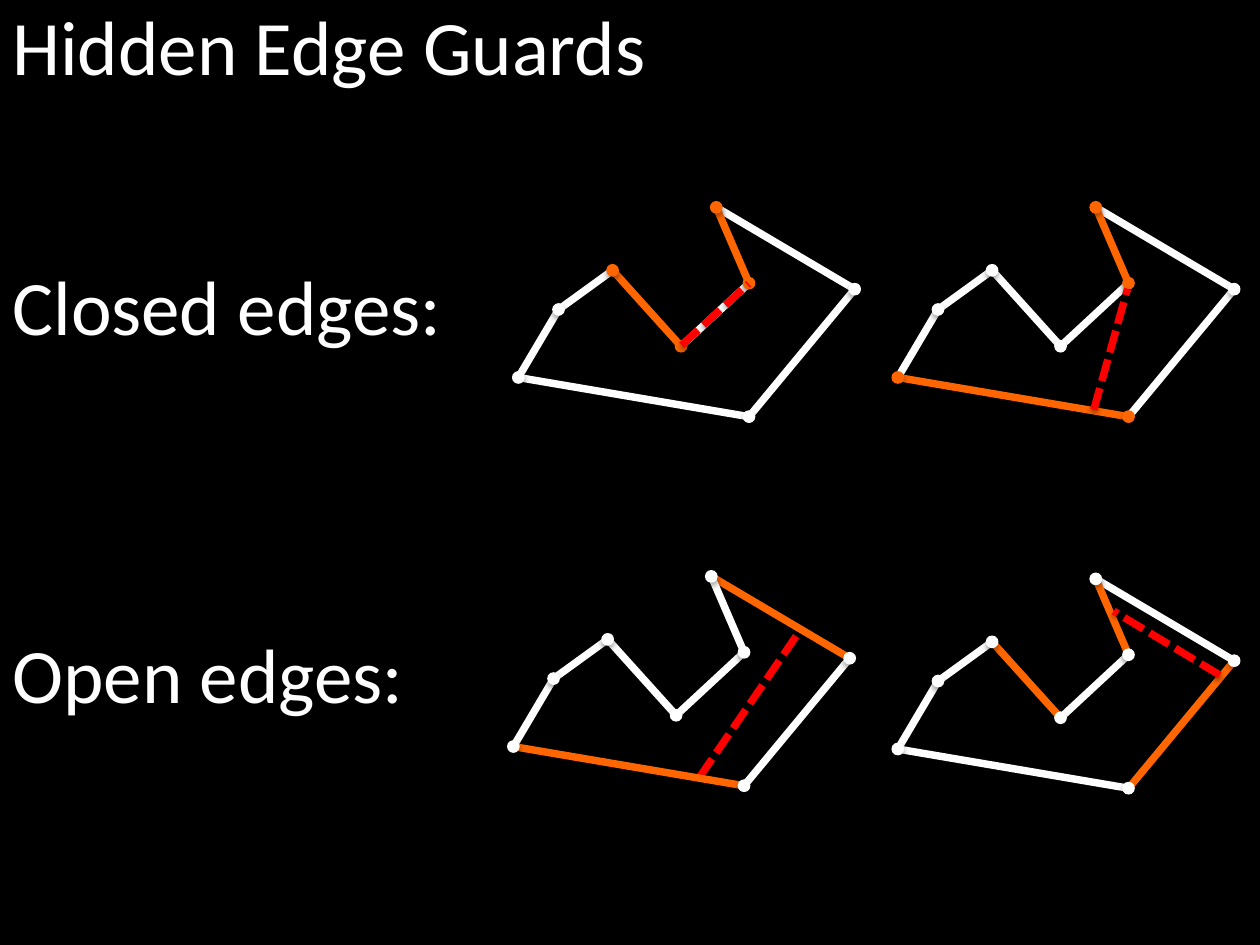
from lxml import etree
from pptx import Presentation
from pptx import util as u
from pptx.dml.color import RGBColor
from pptx.enum import dml, shapes, text
from pptx.oxml import ns

COLORS = {"background": "000000", "plain": "FFFFFF", "guard": "FF6600", "sight": "FF0000"}
DOT = 0.23  # vertex diameter, cm

# Polygon vertices in cm, measured from the left corner
VERTICES = {
    "left": (0, 0), "shoulder": (0.81, -1.37), "peak": (1.9, -2.16), "notch": (3.28, -0.63),
    "inner": (4.65, -1.9), "top": (3.99, -3.43), "right": (6.78, -1.78), "bottom": (4.65, 0.79),
}
EDGES = [
    ("top", "right"), ("shoulder", "left"), ("shoulder", "peak"), ("peak", "notch"),
    ("notch", "inner"), ("left", "bottom"), ("bottom", "right"), ("inner", "top"),
]


def add_shadow(shape, distance, opacity):
    effects = etree.SubElement(shape._element.spPr, ns.qn("a:effectLst"))
    shadow = etree.SubElement(effects, ns.qn("a:outerShdw"), blurRad="40000",
                              dist=str(distance), dir="5400000", rotWithShape="0")
    color = etree.SubElement(shadow, ns.qn("a:srgbClr"), val=COLORS["background"])
    etree.SubElement(color, ns.qn("a:alpha"), val=str(opacity * 1000))


def add_line(slide, start, end, color, dash=None):
    points = [u.Cm(value) for value in (*start, *end)]
    line = slide.shapes.add_connector(shapes.MSO_CONNECTOR.STRAIGHT, *points)
    line.line.color.rgb = RGBColor.from_string(COLORS[color])
    line.line.width = u.Pt(4.25)
    if dash:
        line.line.dash_style = dash
    add_shadow(line, 20000, 38)


presentation = Presentation()
presentation.slide_width, presentation.slide_height = u.Cm(25.4), u.Cm(19.05)
slide = presentation.slides.add_slide(presentation.slide_layouts[6])
slide.background.fill.solid()
slide.background.fill.fore_color.rgb = RGBColor.from_string(COLORS["background"])

# Title and row labels
for label, top, width in [
    ("Hidden Edge Guards", -0.15, 23.65),
    ("Closed edges:", 5.08, 11.7),
    ("Open edges:", 12.5, 11.7),
]:
    box = slide.shapes.add_textbox(u.Cm(0), u.Cm(top), u.Cm(width), u.Cm(2.13))
    box.text_frame.word_wrap = True
    box.text_frame.auto_size = text.MSO_AUTO_SIZE.SHAPE_TO_FIT_TEXT
    run = box.text_frame.paragraphs[0].add_run()
    run.text = label
    run.font.name = "Calibri"
    run.font.size = u.Pt(44)
    run.font.color.rgb = RGBColor.from_string(COLORS["plain"])

# Polygons: origin, guard edges, guard endpoints included, sight line, sight line at the back
polygons = [
    ((10.45, 7.61), [("peak", "notch"), ("inner", "top")], True,
     ((13.74, 6.96), (15.09, 5.72)), False),
    ((18.1, 7.61), [("left", "bottom"), ("inner", "top")], True,
     ((22.05, 8.26), (22.73, 5.82)), False),
    ((10.35, 15.05), [("top", "right"), ("left", "bottom")], False,
     ((14.1, 15.67), (16.08, 12.78)), True),
    ((18.1, 15.1), [("peak", "notch"), ("bottom", "right"), ("inner", "top")], False,
     ((24.59, 13.61), (22.45, 12.32)), False),
]
for (left, top), guards, closed, sight, sight_behind in polygons:
    corners = {name: (left + x, top + y) for name, (x, y) in VERTICES.items()}
    guard_corners = {name for edge in guards for name in edge} if closed else set()

    if sight_behind:
        add_line(slide, *sight, "sight", dml.MSO_LINE.SQUARE_DOT)

    # Edges
    for edge in EDGES:
        start, end = edge
        add_line(slide, corners[start], corners[end], "guard" if edge in guards else "plain")

    # Vertices
    for name, (x, y) in corners.items():
        color = RGBColor.from_string(COLORS["guard" if name in guard_corners else "plain"])
        dot = slide.shapes.add_shape(shapes.MSO_SHAPE.OVAL, u.Cm(x - DOT / 2), u.Cm(y - DOT / 2),
                                     u.Cm(DOT), u.Cm(DOT))
        dot.fill.solid()
        dot.fill.fore_color.rgb = color
        dot.line.color.rgb = color
        dot.line.width = u.Pt(0.75)
        add_shadow(dot, 23000, 35)

    if not sight_behind:
        add_line(slide, *sight, "sight", dml.MSO_LINE.SQUARE_DOT)

presentation.save("out.pptx")
